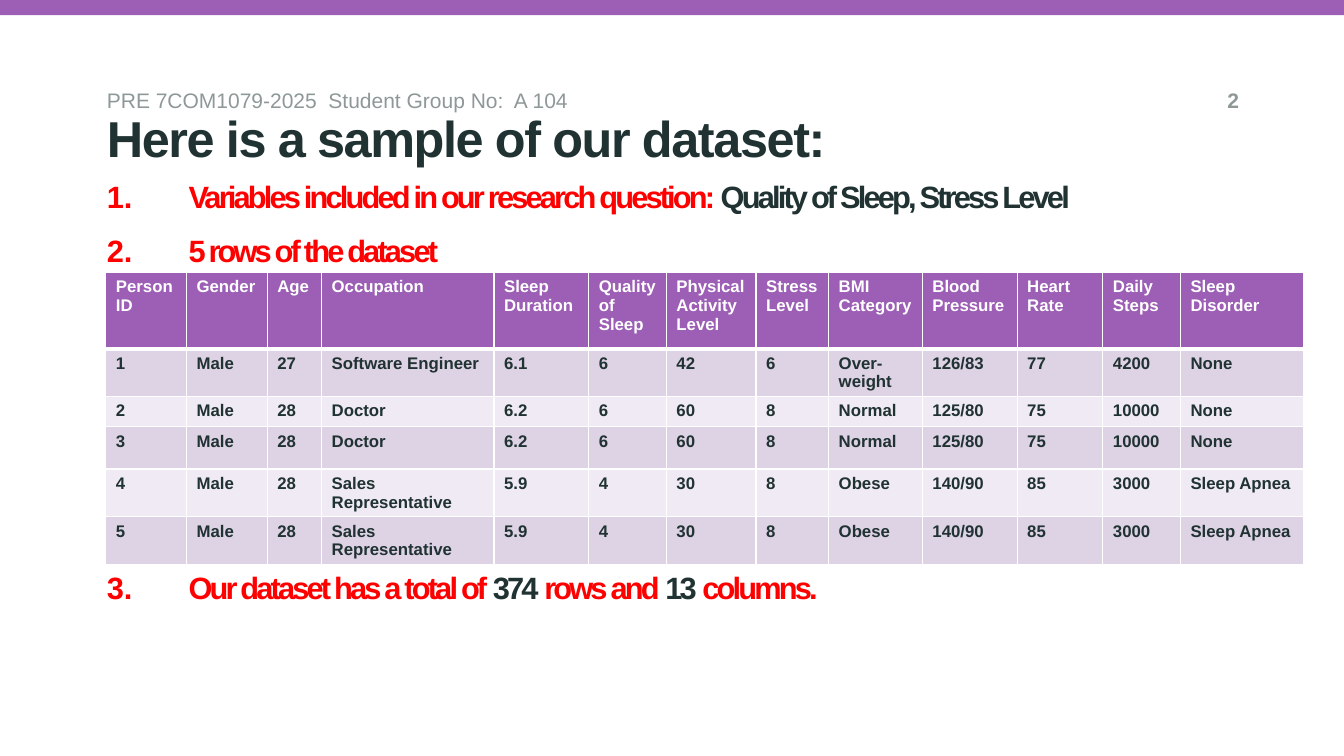
from lxml import etree
from pptx import Presentation
from pptx.dml.color import RGBColor
from pptx.enum.shapes import MSO_SHAPE
from pptx.enum.text import MSO_ANCHOR, MSO_AUTO_SIZE, PP_ALIGN
from pptx.oxml.ns import qn
from pptx.util import Inches, Pt

RECT = MSO_SHAPE.RECTANGLE
TOP = MSO_ANCHOR.TOP
NO_FIT = MSO_AUTO_SIZE.NONE
LEFT, RIGHT = PP_ALIGN.LEFT, PP_ALIGN.RIGHT

PURPLE = RGBColor(0x9C, 0x5F, 0xB5)
BAND_DARK = RGBColor(0xDE, 0xD2, 0xE5)
BAND_LIGHT = RGBColor(0xEF, 0xEA, 0xF3)
INK = RGBColor(0x20, 0x32, 0x32)
GREY = RGBColor(0x8F, 0x98, 0x98)
RED = RGBColor(0xFF, 0x00, 0x00)
WHITE = RGBColor(0xFF, 0xFF, 0xFF)
FONT = "Arial"

TITLE = "Here is a sample of our dataset:"
HEADER = "PRE 7COM1079-2025  Student Group No:  A 104"
PAGE = "2"
POINTS = [
    [("Variables included in our research question: ", RED),
     ("Quality of Sleep, Stress Level", INK)],
    [("5 rows of the dataset", RED)],
    [("Our dataset has a total of ", RED), ("374", INK), (" rows and ", RED),
     ("13", INK), (" columns.", RED)],
]
COLUMNS = [
    ("Person ID", 0.8), ("Gender", 0.8), ("Age", 0.54), ("Occupation", 1.71),
    ("Sleep Duration", 0.94), ("Quality of Sleep", 0.77),
    ("Physical Activity Level", 0.89), ("Stress Level", 0.72),
    ("BMI Category", 0.93), ("Blood Pressure", 0.94), ("Heart Rate", 0.85),
    ("Daily Steps", 0.77), ("Sleep Disorder", 1.22),
]
PEOPLE = [
    ("1", "Male", "27", "Software Engineer", "6.1", "6", "42", "6",
     "Over-weight", "126/83", "77", "4200", "None"),
    ("2", "Male", "28", "Doctor", "6.2", "6", "60", "8",
     "Normal", "125/80", "75", "10000", "None"),
    ("3", "Male", "28", "Doctor", "6.2", "6", "60", "8",
     "Normal", "125/80", "75", "10000", "None"),
    ("4", "Male", "28", "Sales Representative", "5.9", "4", "30", "8",
     "Obese", "140/90", "85", "3000", "Sleep Apnea"),
    ("5", "Male", "28", "Sales Representative", "5.9", "4", "30", "8",
     "Obese", "140/90", "85", "3000", "Sleep Apnea"),
]
ROW_HEIGHTS = [0.76, 0.42, 0.3, 0.42, 0.42, 0.3]
MARGIN = 1.06
LINE = 28.8
TABLE_GAP = 7 * LINE


def add_run(p, text, size, color, bold=True, spacing=0):
    r = p.add_run()
    r.text = text
    r.font.name = FONT
    r.font.size = Pt(size)
    r.font.bold = bold
    r.font.color.rgb = color
    if spacing:
        r._r.get_or_add_rPr().set("spc", str(spacing * 100))


def prepare(sp, left, top, width, height):
    sp.left, sp.top = Inches(left), Inches(top)
    sp.width, sp.height = Inches(width), Inches(height)
    tf = sp.text_frame
    tf.word_wrap = True
    tf.auto_size = NO_FIT
    tf.vertical_anchor = TOP
    tf.margin_left = tf.margin_top = tf.margin_right = tf.margin_bottom = 0
    return tf


def add_label(s, text, left, width, align, bold):
    box = s.shapes.add_textbox(0, 0, 0, 0)
    p = prepare(box, left, 0.87, width, 0.25).paragraphs[0]
    p.alignment = align
    add_run(p, text, 15, GREY, bold)


def number(p):
    pPr = p._p.get_or_add_pPr()
    pPr.set("marL", str(Inches(0.81)))
    pPr.set("indent", str(-Inches(0.81)))
    etree.SubElement(pPr, qn("a:buFont")).set("typeface", FONT)
    etree.SubElement(pPr, qn("a:buAutoNum")).set("type", "arabicPeriod")


def add_border(cell, side, width):
    ln = etree.SubElement(cell._tc.get_or_add_tcPr(), qn("a:ln" + side))
    ln.set("w", str(Pt(width)))
    fill = etree.SubElement(ln, qn("a:solidFill"))
    etree.SubElement(fill, qn("a:srgbClr")).set("val", str(WHITE))


def fill_table(table):
    for col, (_, width) in zip(table.columns, COLUMNS):
        col.width = Inches(width)
    rows = [[name for name, _ in COLUMNS]] + PEOPLE
    for i, (values, height) in enumerate(zip(rows, ROW_HEIGHTS)):
        table.rows[i].height = Inches(height)
        fill = PURPLE if i == 0 else BAND_DARK if i % 2 else BAND_LIGHT
        for j, value in enumerate(values):
            cell = table.cell(i, j)
            for side in "LRTB":
                heavy = (i, side) in ((0, "B"), (1, "T"))
                add_border(cell, side, 3 if heavy else 1)
            cell.fill.solid()
            cell.fill.fore_color.rgb = fill
            add_run(cell.text_frame.paragraphs[0], value, 12, INK if i else WHITE)


def main():
    prs = Presentation()
    prs.slide_width, prs.slide_height = Inches(13.33), Inches(7.5)
    s = prs.slides.add_slide(prs.slide_layouts[1])

    bar = s.shapes.add_shape(RECT, 0, 0, prs.slide_width, Inches(0.15))
    bar.shadow.inherit = False
    bar.fill.solid()
    bar.fill.fore_color.rgb = PURPLE
    bar.line.fill.background()

    p = prepare(s.shapes.title, MARGIN, 1.26, 10.67, 0.47).paragraphs[0]
    p.alignment = LEFT
    p.line_spacing = Pt(LINE)
    add_run(p, TITLE, 36, INK, spacing=-1)

    add_label(s, HEADER, MARGIN, 7.85, LEFT, False)
    add_label(s, PAGE, 11.61, 0.68, RIGHT, True)

    tf = prepare(s.placeholders[1], MARGIN, 1.73, 10.9, 4.36)
    for i, runs in enumerate(POINTS):
        p = tf.add_paragraph() if i else tf.paragraphs[0]
        number(p)
        p.line_spacing = Pt(LINE)
        p.space_before = Pt(TABLE_GAP if i == 2 else 0)
        p.space_after = Pt(9.9)
        for text, color in runs:
            add_run(p, text, 22, color, spacing=-2)

    width = sum(w for _, w in COLUMNS)
    frame = s.shapes.add_table(len(ROW_HEIGHTS), len(COLUMNS), Inches(1.05), Inches(2.7),
                               Inches(width), Inches(sum(ROW_HEIGHTS)))
    fill_table(frame.table)
    prs.save("out.pptx")


if __name__ == "__main__":
    main()
